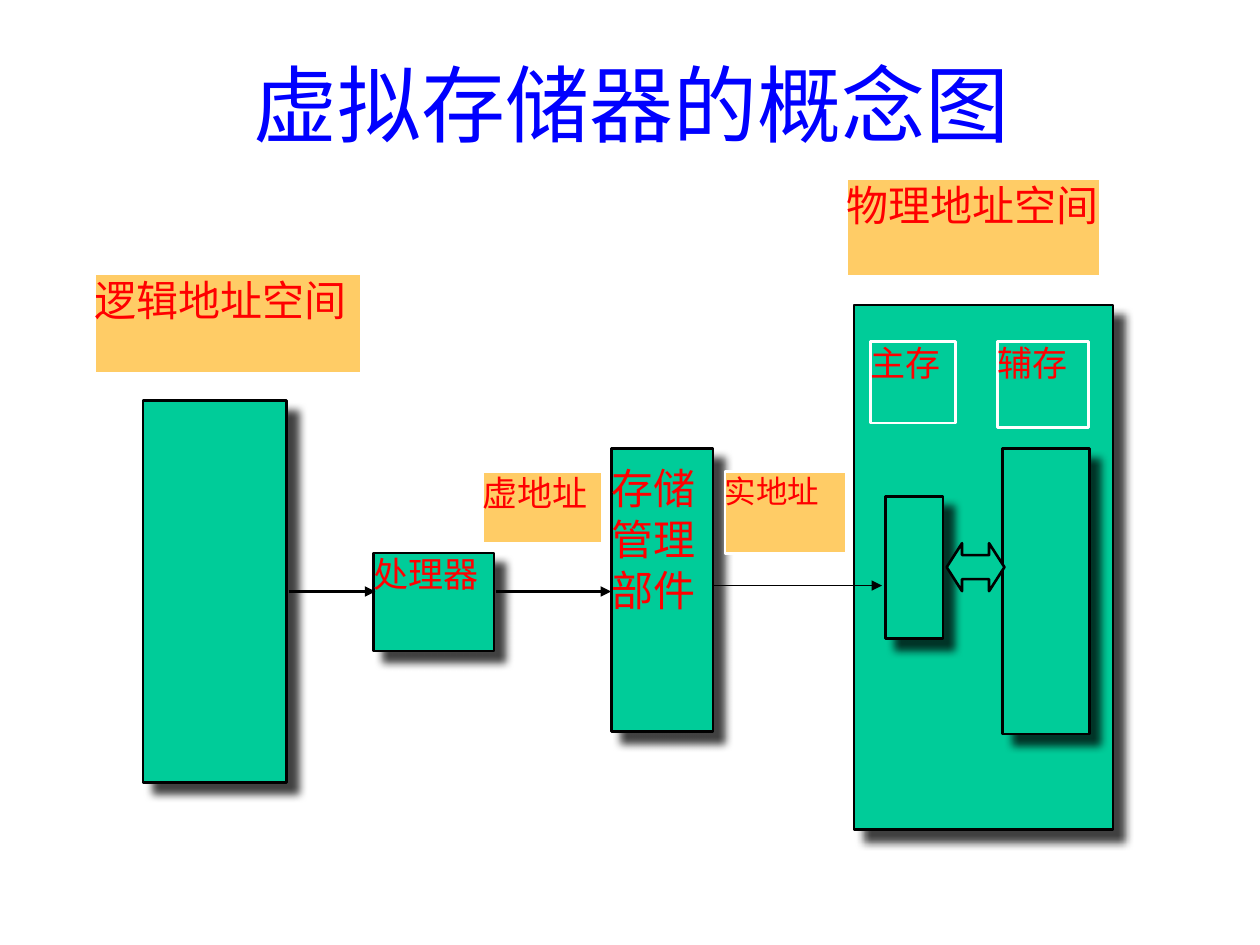
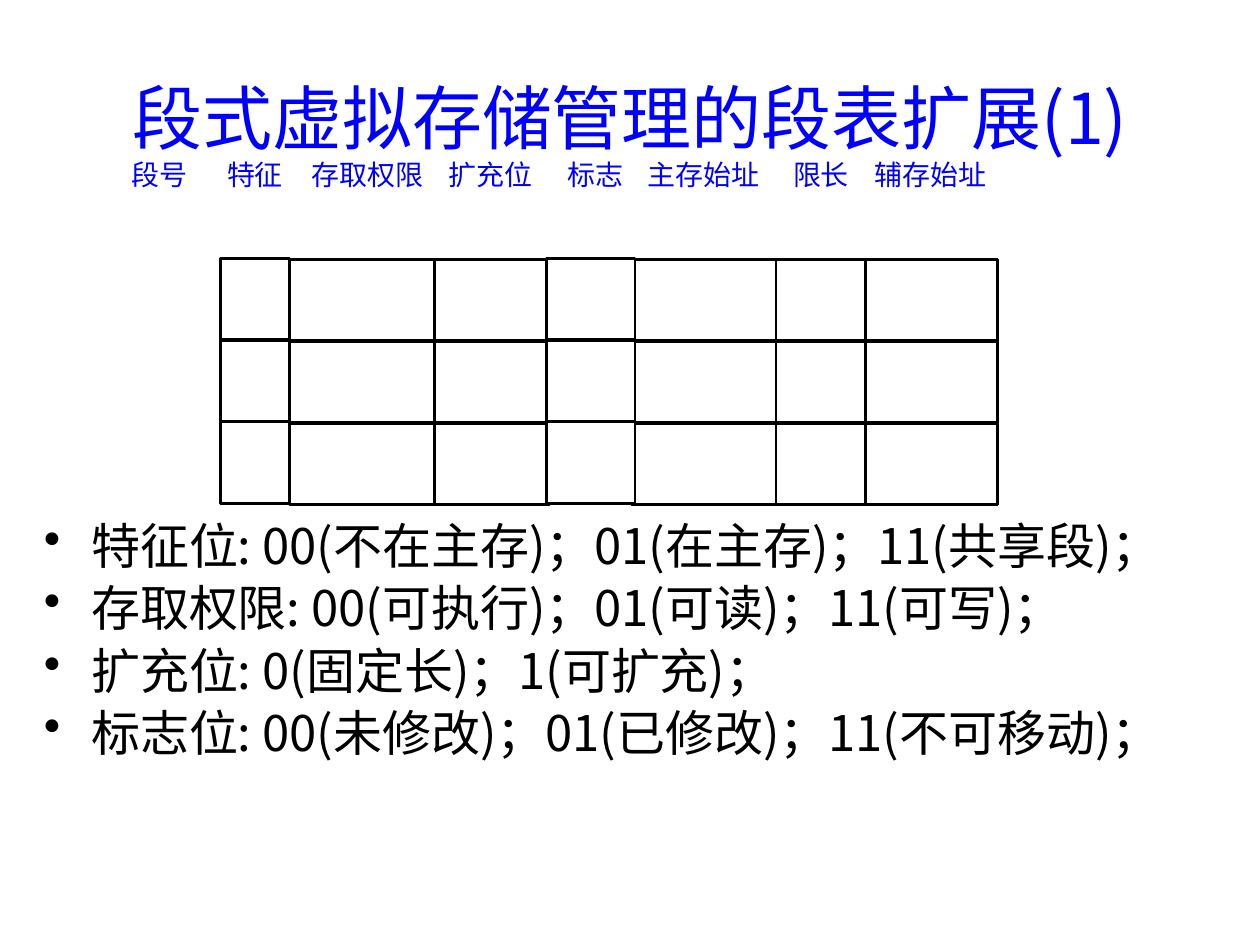
from lxml.etree import SubElement
from pptx import Presentation
from pptx.dml.color import RGBColor
from pptx.enum.shapes import MSO_CONNECTOR, MSO_SHAPE
from pptx.enum.text import MSO_ANCHOR, PP_ALIGN
from pptx.oxml import parse_xml
from pptx.oxml.ns import nsdecls, qn
from pptx.util import Pt

BLUE, RED, BLACK, WHITE = "0000FF", "FF0000", "000000", "FFFFFF"
GREEN, ORANGE = "00CC99", "FFCC66"
HEAD_FONT, CJK_FONT, LABEL_FONT = "Noto Sans CJK JP", "Noto Sans CJK SC", "Times New Roman"


def color(value):
    """Turn a hex string into a colour."""
    return RGBColor.from_string(value)


def write(frame, lines, size, font, ink, align=PP_ALIGN.LEFT, inset=0):
    """Fill a text frame with equally styled paragraphs."""
    frame.word_wrap = True
    frame.margin_left = frame.margin_right = Pt(inset)
    frame.margin_top = frame.margin_bottom = Pt(inset / 2)
    for index, line in enumerate(lines):
        para = frame.paragraphs[0] if index == 0 else frame.add_paragraph()
        para.text = line
        para.alignment = align
        para.line_spacing = Pt(round(size * 1.2))
        para.font.size = Pt(size)
        para.font.name = font
        para.font.color.rgb = color(ink)
        latin = para._p.pPr.find(".//" + qn("a:latin"))
        latin.addnext(parse_xml(f'<a:ea {nsdecls("a")} typeface="{CJK_FONT}"/>'))


def add_title(page, text, size, left, top):
    """Place a centred slide title."""
    box = page.shapes.add_textbox(Pt(left), Pt(top), Pt(612), Pt(90))
    box.text_frame.vertical_anchor = MSO_ANCHOR.MIDDLE
    write(box.text_frame, [text], size, HEAD_FONT, BLUE, PP_ALIGN.CENTER, 7.2)


def add_block(page, left, top, width, height, fill, line=None, kind=MSO_SHAPE.RECTANGLE):
    """Place a flat filled shape, outlined when a line colour is given."""
    block = page.shapes.add_shape(kind, Pt(left), Pt(top), Pt(width), Pt(height))
    block.shadow.inherit = False
    block.fill.solid()
    block.fill.fore_color.rgb = color(fill)
    if line:
        block.line.color.rgb = color(line)
        block.line.width = Pt(1.5)
    else:
        block.line.fill.background()
    block.text_frame.vertical_anchor = MSO_ANCHOR.TOP
    return block


def add_shadow(block):
    """Cast a soft shadow to the lower right."""
    effects = block._element.spPr.find(qn("a:effectLst"))
    effects.append(parse_xml(
        f'<a:outerShdw {nsdecls("a")} blurRad="{Pt(5)}" dist="{Pt(8.5)}" dir="2700000" '
        'algn="ctr" rotWithShape="0"><a:srgbClr val="000000"><a:alpha val="75000"/>'
        '</a:srgbClr></a:outerShdw>'))


def add_arrow(page, start, end, y, width):
    """Draw a horizontal arrow pointing right."""
    arrow = page.shapes.add_connector(MSO_CONNECTOR.STRAIGHT, Pt(start), Pt(y), Pt(end), Pt(y))
    arrow.line.color.rgb = color(BLACK)
    arrow.line.width = Pt(width)
    SubElement(arrow.line._get_or_add_ln(), qn("a:tailEnd"), type="triangle")
    SubElement(arrow._element.spPr, qn("a:effectLst"))


def add_memory_diagram(page, left, top):
    """Draw the path from logical to physical address space."""
    units = [
        (27.7, 127, 82, 218, [], 20),
        (434, 72.3, 148, 299.7, [], 20),
        (159.4, 214, 69, 56, ["处理器"], 20),
        (295.4, 154.2, 58, 162, ["存储", "管理", "部件"], 24),
        (452, 181.7, 33, 81.3, [], 20),
        (519, 154.4, 49.5, 163, [], 20),
    ]
    labels = [
        (0, 54.4, 152.5, 57, "逻辑地址空间", 24, ORANGE),
        (430, 0.2, 145, 56, "物理地址空间", 24, ORANGE),
        (443.5, 93.2, 48.4, 46.6, "主存", 20, GREEN),
        (516.2, 93.2, 52, 49, "辅存", 20, GREEN),
        (221.8, 167.4, 68.2, 41, "虚地址", 20, ORANGE),
        (360.2, 167.4, 69.2, 46.8, "实地址", 18, ORANGE),
    ]
    for x, y, width, height, lines, size in units:
        unit = add_block(page, left + x, top + y, width, height, GREEN, BLACK)
        add_shadow(unit)
        write(unit.text_frame, lines, size, LABEL_FONT, RED)
        if len(lines) > 1:
            unit.text_frame.margin_top = Pt(8)
    for x, y, width, height, text, size, fill in labels:
        label = add_block(page, left + x, top + y, width, height, fill, WHITE)
        write(label.text_frame, [text], size, LABEL_FONT, RED)
    swap = add_block(page, left + 487, top + 208.4, 33, 27.4, GREEN, BLACK,
                     MSO_SHAPE.LEFT_RIGHT_ARROW)
    swap.adjustments[0], swap.adjustments[1] = 0.5, 0.32
    for start, end, y, width in [(111, 160.5, 236, 1.5), (229.7, 295.2, 236, 1.5),
                                 (353.5, 450, 232.6, 0.75)]:
        add_arrow(page, left + start, left + end, top + y, width)


def add_segment_grid(page, left, top):
    """Place the headings and, below them, the staggered columns of empty cells."""
    headings = [("段号", 0, 38), ("特征", 54.7, 38), ("存取权限", 99.4, 77),
                ("扩充位", 179.3, 58.3), ("标志", 242, 52.4), ("主存始址", 288.6, 83),
                ("限长", 377.3, 39.6), ("辅存始址", 421.2, 77)]
    columns = [(175.7, 66.2, 58.3), (288.7, 82.8, 58.3), (93.6, 82.8, 58.3),
               (54, 39.6, 57.6), (421.2, 77, 58.3), (371.5, 51.1, 58.3),
               (240.5, 50.4, 57.6)]
    for name, x, width in headings:
        heading = add_block(page, left + x, top, width, 46, WHITE)
        write(heading.text_frame, [name], 16, CJK_FONT, BLUE, PP_ALIGN.CENTER)
    for x, width, y in columns:
        for row in range(3):
            add_block(page, left + x, top + y + row * 46.8, width, 46.4, WHITE, BLACK)


def add_bullets(page, left, top, width, height, lines):
    """Place the justified bullet list."""
    box = page.shapes.add_textbox(Pt(left), Pt(top), Pt(width), Pt(height))
    write(box.text_frame, lines, 28, HEAD_FONT, BLACK, PP_ALIGN.JUSTIFY, 7.2)
    for para in box.text_frame.paragraphs:
        para.line_spacing = Pt(30)
        para.space_before = Pt(5.6)
        properties = para._p.get_or_add_pPr()
        properties.set("marL", str(Pt(27)))
        properties.set("indent", str(-Pt(27)))
        properties.find(qn("a:defRPr")).addprevious(
            parse_xml(f'<a:buChar {nsdecls("a")} char="•"/>'))


def build_concept_slide(deck):
    """Build the slide on the concept of virtual memory."""
    page = deck.slides.add_slide(deck.slide_layouts[6])
    add_title(page, "虚拟存储器的概念图", 48, 55, 13.8)
    add_memory_diagram(page, 54, 102)


def build_segment_slide(deck):
    """Build the slide on the extended segment table."""
    page = deck.slides.add_slide(deck.slide_layouts[6])
    add_title(page, "段式虚拟存储管理的段表扩展(1)", 40, 54, 21.4)
    add_bullets(page, 18, 294.6, 666, 245, [
        "特征位: 00(不在主存)；01(在主存)；11(共享段)；",
        "存取权限: 00(可执行)；01(可读)；11(可写)；",
        "扩充位: 0(固定长)；1(可扩充)；",
        "标志位: 00(未修改)；01(已修改)；11(不可移动)；",
    ])
    add_segment_grid(page, 72, 90)


deck = Presentation()
deck.slide_width, deck.slide_height = Pt(720), Pt(540)
build_concept_slide(deck)
build_segment_slide(deck)
deck.save("out.pptx")
